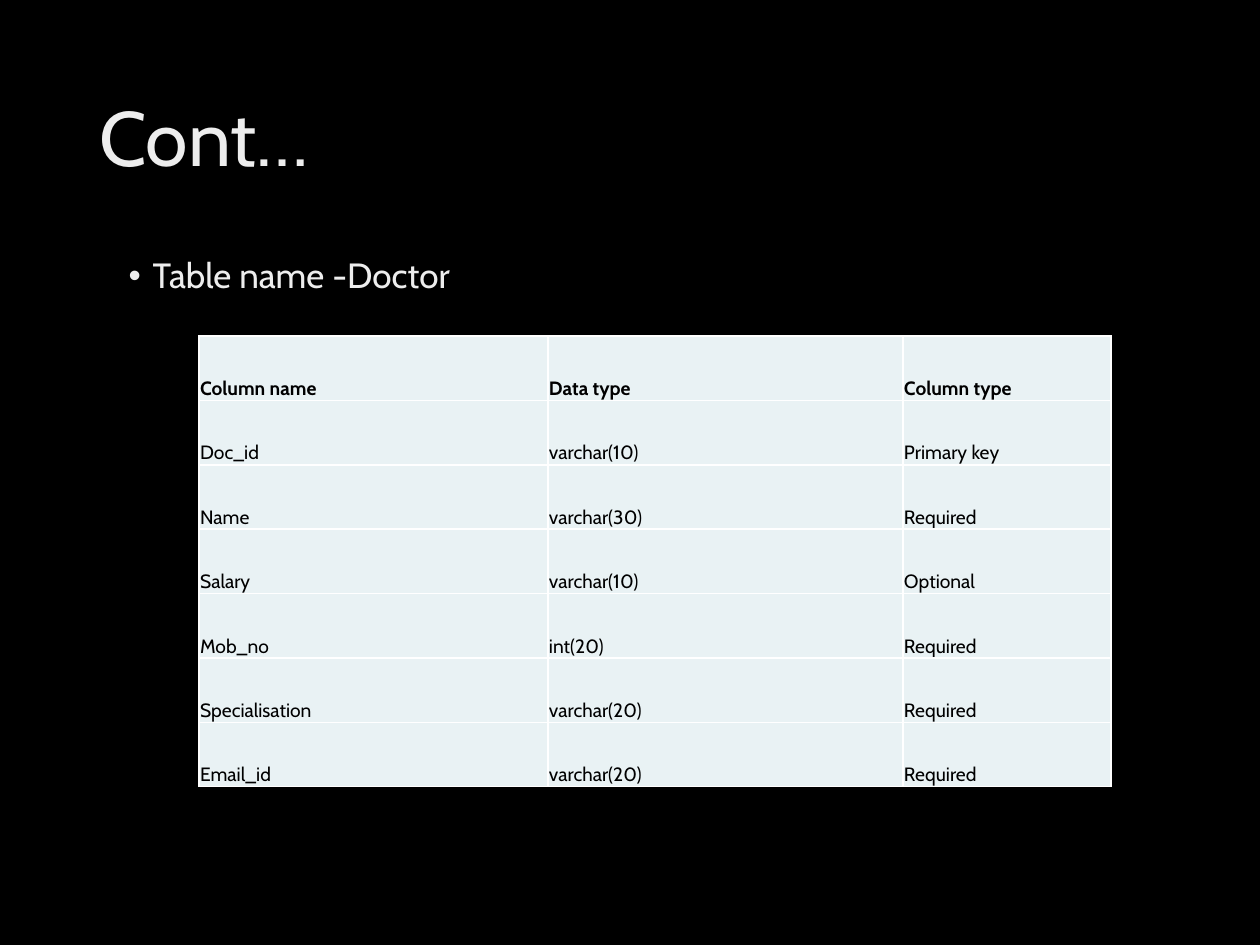
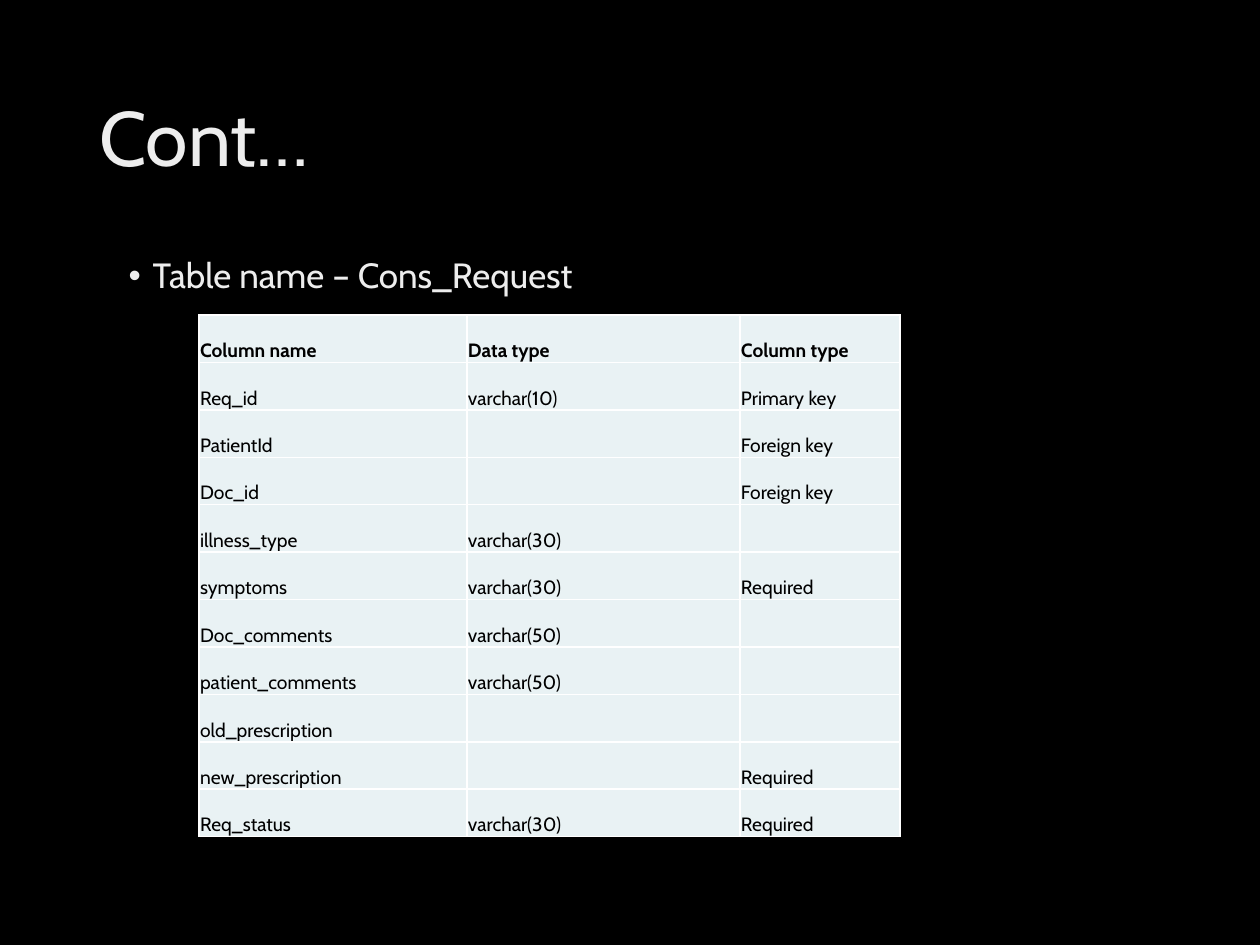
from lxml import etree
from pptx import Presentation
from pptx import util as u
from pptx.dml.color import RGBColor
from pptx.enum import text
from pptx.oxml import ns

PX_PER_INCH = 126
COLUMNS = ("Column name", "Data type", "Column type")

DOCTOR = [
    ("Doc_id", "varchar(10)", "Primary key"),
    ("Name", "varchar(30)", "Required"),
    ("Salary", "varchar(10)", "Optional"),
    ("Mob_no", "int(20)", "Required"),
    ("Specialisation", "varchar(20)", "Required"),
    ("Email_id", "varchar(20)", "Required"),
]
CONS_REQUEST = [
    ("Req_id", "varchar(10)", "Primary key"),
    ("PatientId", "", "Foreign key"),
    ("Doc_id", "", "Foreign key"),
    ("illness_type", "varchar(30)", ""),
    ("symptoms", "varchar(30)", "Required"),
    ("Doc_comments", "varchar(50)", ""),
    ("patient_comments", "varchar(50)", ""),
    ("old_prescription", "", ""),
    ("new_prescription", "", "Required"),
    ("Req_status", "varchar(30)", "Required"),
]


def px(n):
    return u.Inches(n / PX_PER_INCH)


def paint(fill, colour):
    fill.solid()
    fill.fore_color.rgb = RGBColor.from_string(colour)


def add_xml(parent, tag, **attributes):
    el = etree.SubElement(parent, ns.qn(tag))
    for name, value in attributes.items():
        el.set(name, str(value))
    return el


def write(tf, words, size=11, colour="000000", bold=False, font="Cabin",
          sheen=None, line_spacing=None, before=None):
    """Put one formatted paragraph in tf; sheen lists (percent, colour) stops."""
    p = tf.paragraphs[0]
    p.alignment = text.PP_ALIGN.LEFT
    p.line_spacing = line_spacing
    if before is not None:
        p.space_before = u.Pt(before)
    r = p.add_run()
    r.text = words
    r.font.size, r.font.name, r.font.bold = u.Pt(size), font, bold
    if not sheen:
        paint(r.font.fill, colour)
        return p
    r.font.fill.gradient()
    r.font.fill.gradient_angle = 280
    stops = r._r.find(".//" + ns.qn("a:gsLst"))
    stops.clear()
    for percent, stop_colour in sheen:
        stop = add_xml(stops, "a:gs", pos=percent * 1000)
        add_xml(stop, "a:srgbClr", val=stop_colour)
    return p


class Deck:
    background, cell_fill, border = "000000", "E9F2F4", "FFFFFF"

    def __init__(self):
        self.prs = Presentation()
        self.prs.slide_width, self.prs.slide_height = px(1260), px(945)
        paint(self.prs.slide_master.background.fill, self.background)
        self.s = None

    def new_slide(self):
        self.s = self.prs.slides.add_slide(self.prs.slide_layouts[1])

    def sheen(self, middle):
        return [(0, "BFBFBF"), (middle, "EDEDED"), (100, "FFFFFF")]

    def place(self, sp, left, top, width, height, anchor):
        sp.left, sp.top, sp.width, sp.height = map(px, (left, top, width, height))
        tf = sp.text_frame
        tf.auto_size = text.MSO_AUTO_SIZE.NONE
        tf.vertical_anchor = anchor
        return tf

    def title(self, words):
        tf = self.place(self.s.shapes.title, 87, 50, 1086, 183, text.MSO_ANCHOR.MIDDLE)
        write(tf, words, size=44, sheen=self.sheen(28), line_spacing=0.9)

    def bullet(self, words):
        tf = self.place(self.s.placeholders[1], 116, 252, 1057, 600, text.MSO_ANCHOR.TOP)
        p = write(tf, words, size=20, sheen=self.sheen(34), line_spacing=0.9, before=7.5)
        pPr = p._p.get_or_add_pPr()
        pPr.set("marL", str(px(24)))
        pPr.set("indent", str(-px(24)))
        add_xml(pPr, "a:buChar", char="•")

    def table(self, rows, top, height, widths, left=199):
        frame = self.s.shapes.add_table(len(rows), len(widths), px(left), px(top),
                                        px(sum(widths)), px(height))
        table = frame.table
        table.horz_banding = False
        for column, width in zip(table.columns, widths):
            column.width = px(width)
        for i, row in enumerate(rows):
            for j, words in enumerate(row):
                self.cell(table.cell(i, j), words, bold=i == 0)

    def cell(self, cell, words, bold):
        cell.margin_left = cell.margin_right = cell.margin_top = px(1)
        cell.margin_bottom = 0
        cell.vertical_anchor = text.MSO_ANCHOR.BOTTOM
        # Borders come before the fill in a cell's properties
        tcPr = cell._tc.get_or_add_tcPr()
        for side in "LRTB":
            line = add_xml(tcPr, "a:ln" + side, w=u.Pt(1))
            add_xml(add_xml(line, "a:solidFill"), "a:srgbClr", val=self.border)
        paint(cell.fill, self.cell_fill)
        if words:
            write(cell.text_frame, words, bold=bold)


def main():
    deck = Deck()
    # Each slide: table name, fields, top, height, column widths
    for name, fields, top, height, widths in (
        ("Table name -Doctor", DOCTOR, 336, 451, (349, 355, 208)),
        ("Table name – Cons_Request", CONS_REQUEST, 315, 522, (268, 273, 160)),
    ):
        deck.new_slide()
        deck.title("Cont…")
        deck.bullet(name)
        deck.table([COLUMNS] + fields, top, height, widths)
    deck.prs.save("out.pptx")


if __name__ == "__main__":
    main()
